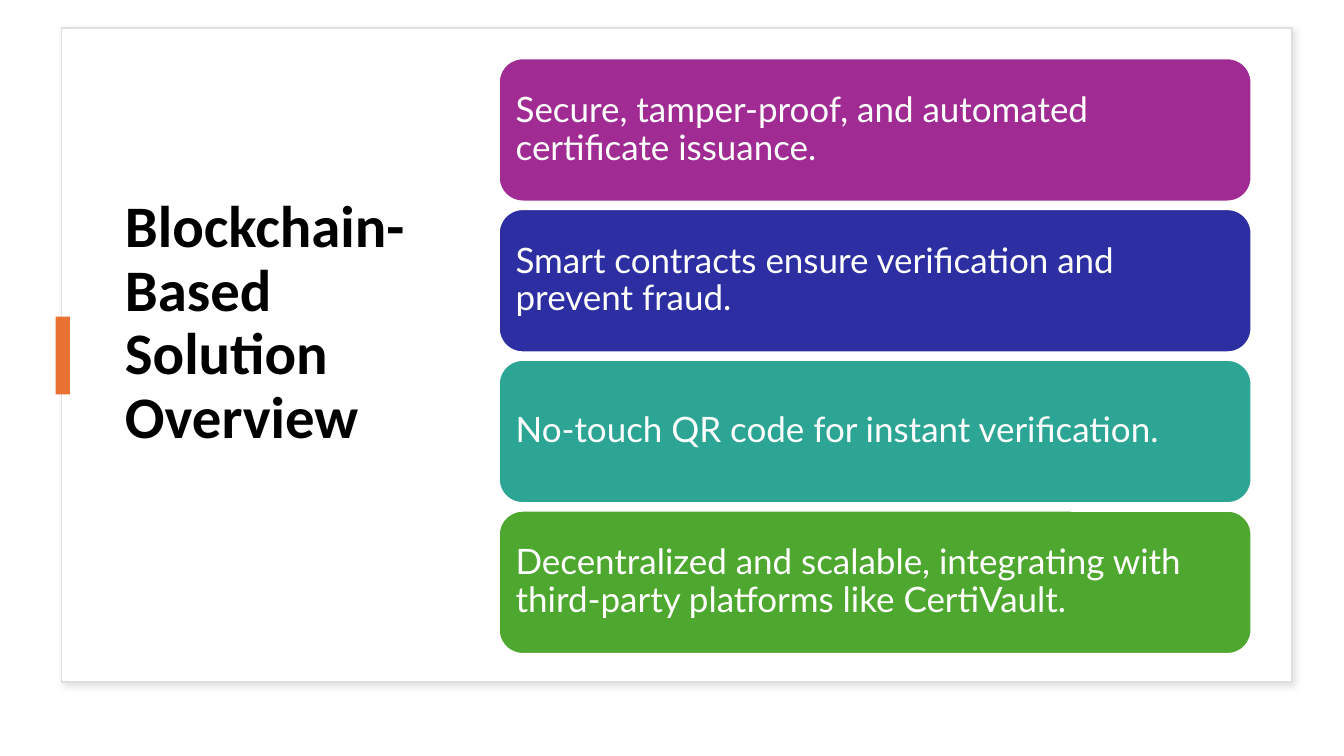
from typing import NamedTuple, Optional

from lxml import etree
from pptx import Presentation
from pptx import util as u
from pptx.dml.color import RGBColor
from pptx.enum import shapes, text
from pptx.oxml import ns


class Box(NamedTuple):
    left: float
    top: float
    width: float
    height: float

    def cm(self) -> list:
        return [u.Cm(side) for side in self]


class Card(NamedTuple):
    words: str
    fill: str


FRAME = Box(1.55, 0.71, 31.01, 16.48)
TITLE = Box(2.9, 1.4, 8.31, 15.11)
ACCENT = Box(1.4, 7.98, 0.36, 1.96)
FIRST = Box(12.57, 1.47, 18.97, 3.61)
PITCH = 3.8

CARDS = [
    Card("Secure, tamper-proof, and automated certificate issuance.", "A02B93"),
    Card("Smart contracts ensure verification and prevent fraud.", "2C2EA2"),
    Card("No-touch QR code for instant verification.", "2DA594"),
    Card("Decentralized and scalable, integrating with third-party "
         "platforms like CertiVault.", "4EA72E"),
]


def paint(color, code: str) -> None:
    color.rgb = RGBColor.from_string(code)


def add_block(slide, kind, box: Box, fill: str,
              line: Optional[str] = None, weight: float = 1):
    block = slide.shapes.add_shape(kind, *box.cm())
    block.shadow.inherit = False
    block.fill.solid()
    paint(block.fill.fore_color, fill)
    if line:
        paint(block.line.color, line)
        block.line.width = u.Pt(weight)
    else:
        block.line.fill.background()
    return block


def add_shadow(block, code: str) -> None:
    effects = block.element.spPr.find(ns.qn("a:effectLst"))
    outer = etree.SubElement(
        effects, ns.qn("a:outerShdw"), blurRad=str(u.Pt(4)), dist=str(u.Pt(3)),
        dir="2700000", algn="tl", rotWithShape="0")
    color = etree.SubElement(outer, ns.qn("a:srgbClr"), val=code)
    etree.SubElement(color, ns.qn("a:alpha"), val="50000")


def write(block, words: str, font: str, size: float, code: str,
          bold: bool = False) -> None:
    frame = block.text_frame
    frame.text = words
    frame.word_wrap = True
    frame.vertical_anchor = text.MSO_ANCHOR.MIDDLE
    line = frame.paragraphs[0]
    line.alignment = text.PP_ALIGN.LEFT
    line.line_spacing = 0.9
    for run in line.runs:
        run.font.name = font
        run.font.size = u.Pt(size)
        run.font.bold = bold
        paint(run.font.color, code)


def add_card(slide, card: Card, box: Box) -> None:
    block = add_block(slide, shapes.MSO_SHAPE.ROUNDED_RECTANGLE, box,
                      card.fill, "FFFFFF", 1.5)
    frame = block.text_frame
    frame.margin_left = frame.margin_right = u.Cm(0.25)
    frame.margin_top = frame.margin_bottom = u.Cm(0.25)
    write(block, card.words, "Lato", 25, "FFFFFF")


def main() -> None:
    deck = Presentation()
    deck.slide_width = u.Cm(33.87)
    deck.slide_height = u.Cm(19.05)
    slide = deck.slides.add_slide(deck.slide_layouts[6])

    frame = add_block(slide, shapes.MSO_SHAPE.RECTANGLE, FRAME,
                      "FFFFFF", "DEDEDE")
    add_shadow(frame, "C5C5C5")

    title = slide.shapes.add_textbox(*TITLE.cm())
    write(title, "Blockchain-Based Solution Overview", "Calibri", 42,
          "000000", True)
    title.text_frame.margin_bottom = u.Cm(1.72)

    add_block(slide, shapes.MSO_SHAPE.RECTANGLE, ACCENT, "E97132")

    for row, card in enumerate(CARDS):
        add_card(slide, card, FIRST._replace(top=FIRST.top + row * PITCH))

    deck.save("out.pptx")


if __name__ == "__main__":
    main()
